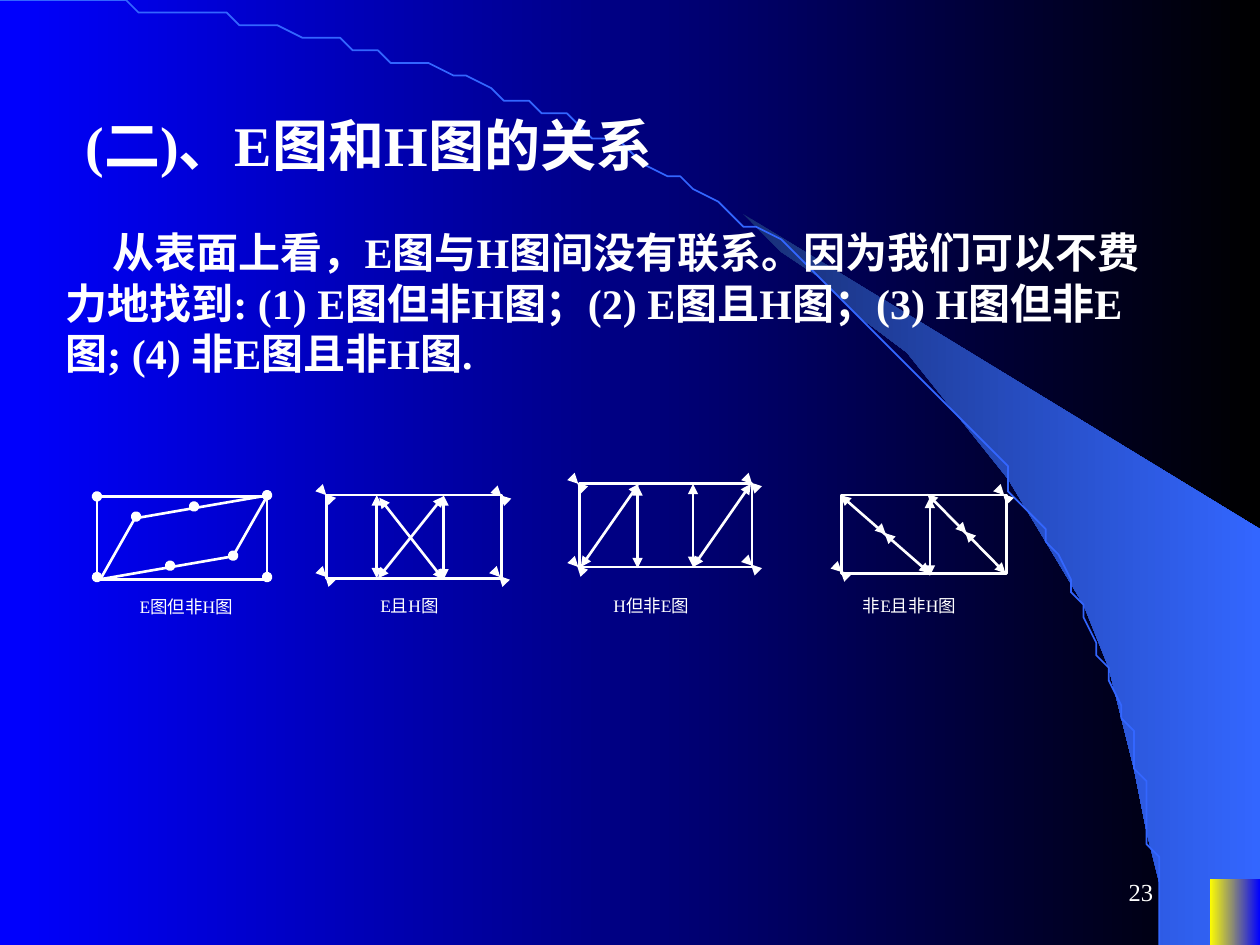
"""Build the slide on how E graphs and H graphs relate, on a grid of 100 columns by 75 rows."""
import math
from dataclasses import dataclass

import pptx
import pptx.util
import pptx.dml.color
import pptx.enum.shapes
import pptx.enum.text
import pptx.oxml.ns
from lxml import etree

RGB = pptx.dml.color.RGBColor
KIND = pptx.enum.shapes.MSO_SHAPE
ALIGN = pptx.enum.text.PP_ALIGN
ANCHOR = pptx.enum.text.MSO_ANCHOR

BLUE = RGB(0x00, 0x00, 0xFF)
BLACK = RGB(0x00, 0x00, 0x00)
NAVY = RGB(0x18, 0x2F, 0x76)
SKY = RGB(0x33, 0x66, 0xFF)
GOLD = RGB(0xFF, 0xFF, 0x00)
WHITE = RGB(0xFF, 0xFF, 0xFF)

COLS, ROWS = 100, 75
TICK = 0.1


@dataclass(frozen=True)
class Box:
    """Area in columns and rows."""
    left: float
    top: float
    width: float
    height: float


@dataclass(frozen=True)
class Label:
    """Text with its area and look."""
    words: str
    area: Box
    size: float
    bold: bool = False
    align: ALIGN = ALIGN.LEFT
    anchor: ANCHOR = ANCHOR.TOP
    before: float = 0
    indent: float = 0


@dataclass(frozen=True)
class Graph:
    """One framed graph: edges are (x, y, x, y), marks are (x, y)."""
    frame: Box
    title: Label
    edges: tuple = ()
    marks: tuple = ()
    head: str = "triangle"
    skew: Box | None = None


def span(count: float) -> int:
    """Turn grid steps into a length."""
    return pptx.util.Inches(count / 10)


def place(area: Box) -> tuple:
    """Give an area as lengths."""
    return tuple(map(span, (area.left, area.top, area.width, area.height)))


def blend(fill, start: RGB, end: RGB) -> None:
    """Fill from left to right with two colours."""
    fill.gradient()
    fill.gradient_angle = 0
    for stop, tint in zip(fill.gradient_stops, (start, end)):
        stop.color.rgb = tint


def stroke(item, tint: RGB = WHITE, width: float = 1.5) -> None:
    """Set line colour and width."""
    item.line.color.rgb = tint
    item.line.width = pptx.util.Pt(width)


def trace(shapes, points: list, close: bool):
    """Draw an outline through points of the grid."""
    pen = shapes.build_freeform(*points[0], scale=span(1))
    pen.add_line_segments(points[1:], close=close)
    shape = pen.convert_to_shape()
    shape.shadow.inherit = False
    return shape


def outline(shapes, kind: KIND, area: Box):
    """Draw a hollow white shape."""
    shape = shapes.add_shape(kind, *place(area))
    shape.shadow.inherit = False
    shape.fill.background()
    stroke(shape)
    return shape


def link(shapes, ends: tuple, head: str, tail: str) -> None:
    """Draw a white line with ends as named."""
    line = shapes.add_connector(pptx.enum.shapes.MSO_CONNECTOR.STRAIGHT, *map(span, ends))
    stroke(line)
    name = pptx.oxml.ns.qn
    for tag, kind in (("a:headEnd", head), ("a:tailEnd", tail)):
        etree.SubElement(line.line._ln, name(tag), type=kind)
    etree.SubElement(line._element.spPr, name("a:effectLst"))


def write(shapes, label: Label) -> None:
    """Add a text box."""
    frame = shapes.add_textbox(*place(label.area)).text_frame
    frame.word_wrap = True
    frame.vertical_anchor = label.anchor
    para = frame.paragraphs[0]
    para.text = label.words
    para.alignment = label.align
    para.space_before = pptx.util.Pt(label.before)
    if label.indent:
        para._p.get_or_add_pPr().set("indent", str(span(label.indent)))
    font = para.font
    font.name = "Times New Roman"
    font.size = pptx.util.Pt(label.size)
    font.bold = label.bold
    font.color.rgb = WHITE


def sketch(shapes, graph: Graph) -> None:
    """Draw one graph as a group."""
    group = shapes.add_group_shape().shapes
    outline(group, KIND.RECTANGLE, graph.frame)
    if graph.skew:
        shape = outline(group, KIND.PARALLELOGRAM, graph.skew)
        shape.adjustments[0] = 0.82
        shape.rotation = 350.2
    for edge in graph.edges:
        link(group, edge, graph.head, graph.head)
    start = "none" if graph.head == "oval" else graph.head
    for x, y in graph.marks:
        link(group, (x, y, x + TICK, y + TICK), start, graph.head)
    write(group, graph.title)


def note(words: str, *area: float) -> Label:
    """Make the caption of a graph."""
    return Label(words, Box(*area), 10, align=ALIGN.JUSTIFY)


WAVE = [(92, 74.8), (99.9, 74.9), (99.9, 42.3), (58.9, 17.3), (62.4, 19.9), (65.3, 22.2),
        (68.5, 25), (71.6, 28), (76.2, 33), (80.3, 38.4), (83.2, 43.1), (85.8, 47.9),
        (87.8, 52.8), (89.3, 57.2), (90.3, 60.9), (91.3, 65.6), (91.7, 69.6)]
TURNS = [math.radians(step) for step in range(91)]
ARC = [(92 * math.sin(turn), 74.9 * (1 - math.cos(turn))) for turn in TURNS]

LABELS = (
    Label("23", Box(71.7, 68.3, 20.8, 5), 14, align=ALIGN.RIGHT, anchor=ANCHOR.MIDDLE),
    Label("(二)、E图和H图的关系", Box(5.8, 8.3, 73.3, 6.4), 32, True, before=20),
    Label("从表面上看，E图与H图间没有联系。因为我们可以不费力地找到: (1) E图但非H图；"
          "(2) E图且H图；(3) H图但非E图; (4) 非E图且非H图.",
          Box(4.2, 17.5, 87.5, 13), 24, True, before=15, indent=3.75),
)

GRAPHS = (
    Graph(Box(25.9, 39.3, 13.9, 6.6), note("E且H图", 29.2, 46.7, 8.1, 2.8),
          ((35.2, 39.3, 35.2, 46), (30, 45.9, 35.2, 39.4),
           (35.2, 46, 30.1, 39.5), (29.9, 39.3, 29.9, 45.9)),
          ((25.8, 45.7), (25.8, 39.2), (39.6, 45.7), (39.7, 39.3))),
    Graph(Box(7.7, 39.4, 13.5, 6.6), note("E图但非H图", 10.1, 46.8, 9.6, 2.8),
          marks=((21.1, 45.7), (7.6, 45.7), (7.6, 39.3), (21.1, 39.2),
                 (13.4, 44.8), (15.3, 40.1), (10.7, 40.9), (18.4, 44)),
          head="oval", skew=Box(7.5, 40.5, 14.2, 4.3)),
    Graph(Box(46, 38.4, 13.7, 6.6), note("H但非E图", 47.7, 46.7, 12.5, 3.3),
          ((55, 38.4, 55, 45), (46.1, 45, 50.7, 38.4),
           (50.6, 38.5, 50.6, 45.1), (55, 45, 59.6, 38.4)),
          ((59.6, 38.3), (59.6, 44.8), (45.8, 38.3), (45.8, 44.9))),
    Graph(Box(66.8, 39.3, 13.1, 6.2), note("非E且非H图", 67.5, 46.7, 14.2, 3.5),
          ((73.6, 39.2, 79.8, 45.5), (66.7, 39.3, 73.8, 45.5), (73.8, 39.5, 73.8, 45.7)),
          ((66.7, 45.3), (79.6, 39.2), (70.2, 42.3), (76.6, 42.2))),
)


def main() -> None:
    """Build and save the slide."""
    deck = pptx.Presentation()
    deck.slide_width, deck.slide_height = span(COLS), span(ROWS)
    slide = deck.slides.add_slide(deck.slide_layouts[6])
    shapes = slide.shapes
    blend(slide.background.fill, BLUE, BLACK)
    wave = trace(shapes, WAVE, True)
    blend(wave.fill, NAVY, SKY)
    wave.line.fill.background()
    curve = trace(shapes, ARC, False)
    curve.fill.background()
    stroke(curve, SKY, 1)
    block = outline(shapes, KIND.RECTANGLE, Box(96, 69.8, 4, 5.2))
    blend(block.fill, GOLD, BLUE)
    block.line.fill.background()
    for label in LABELS:
        write(shapes, label)
    for graph in GRAPHS:
        sketch(shapes, graph)
    deck.save("out.pptx")


if __name__ == "__main__":
    main()
